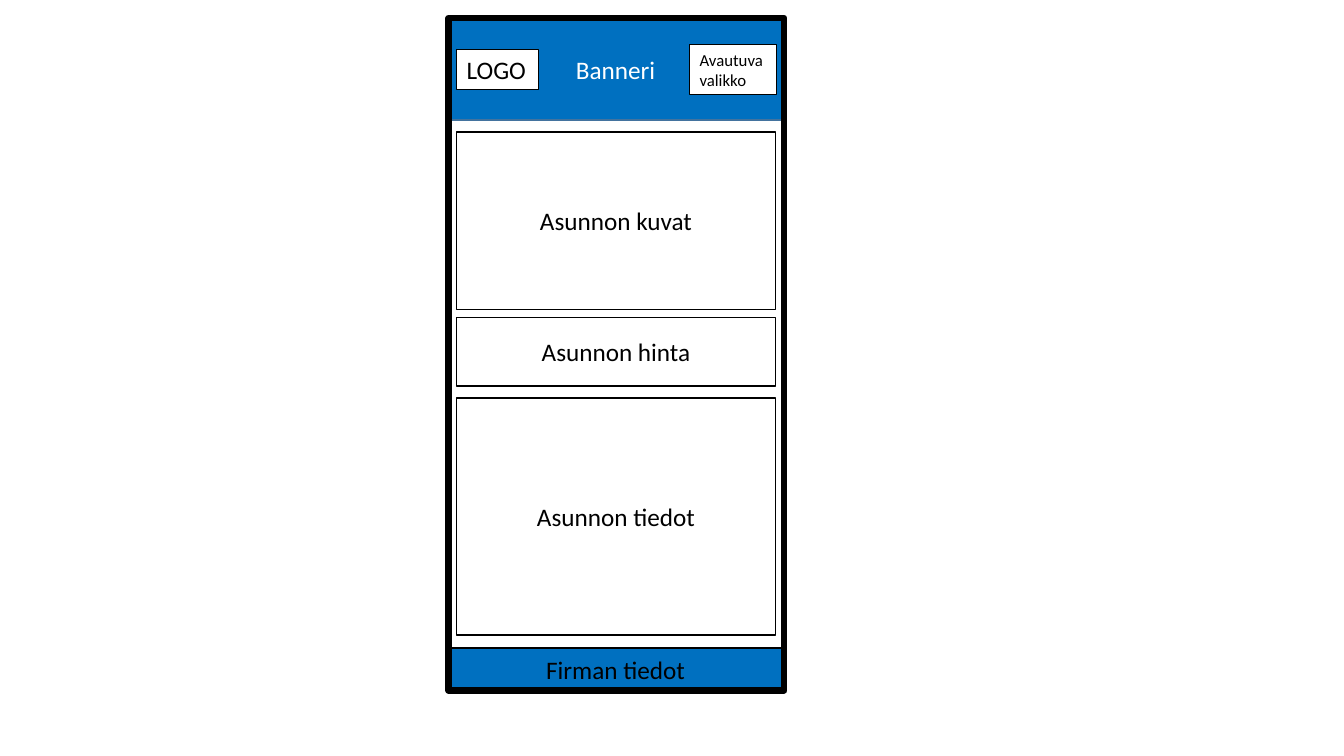
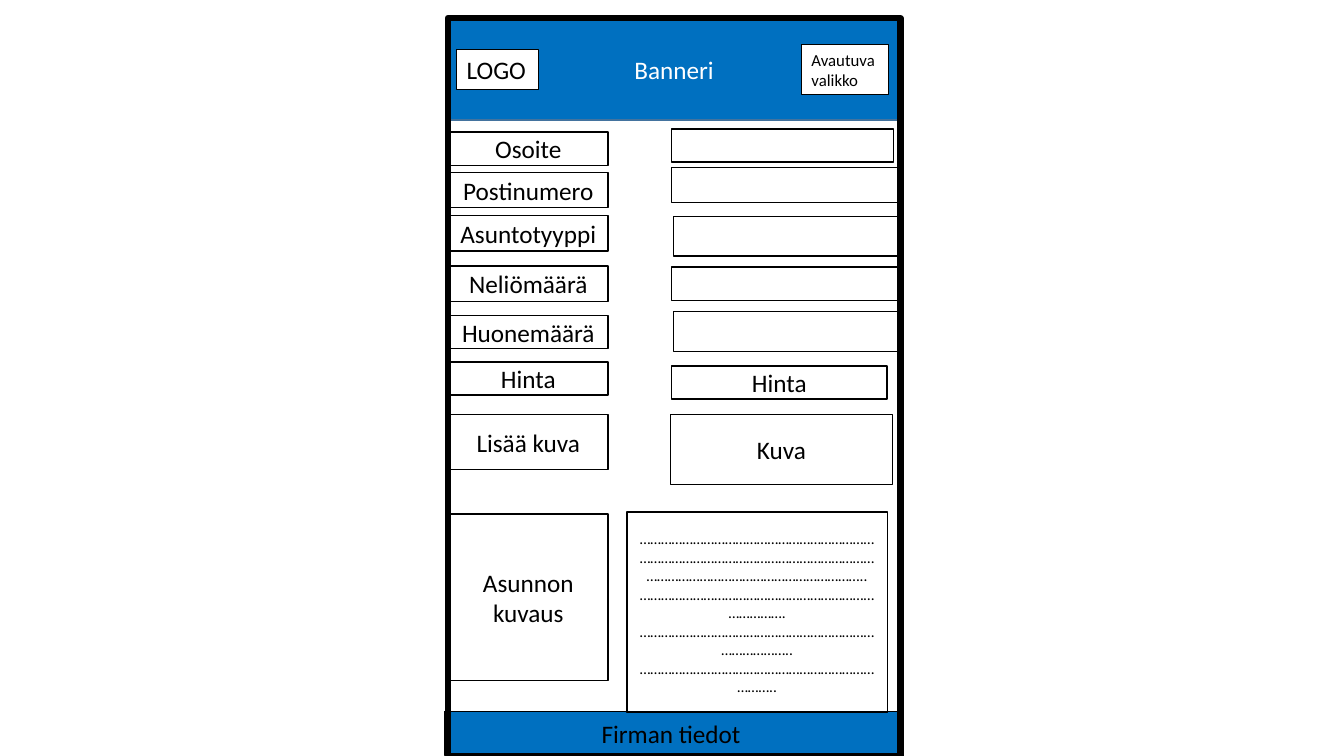
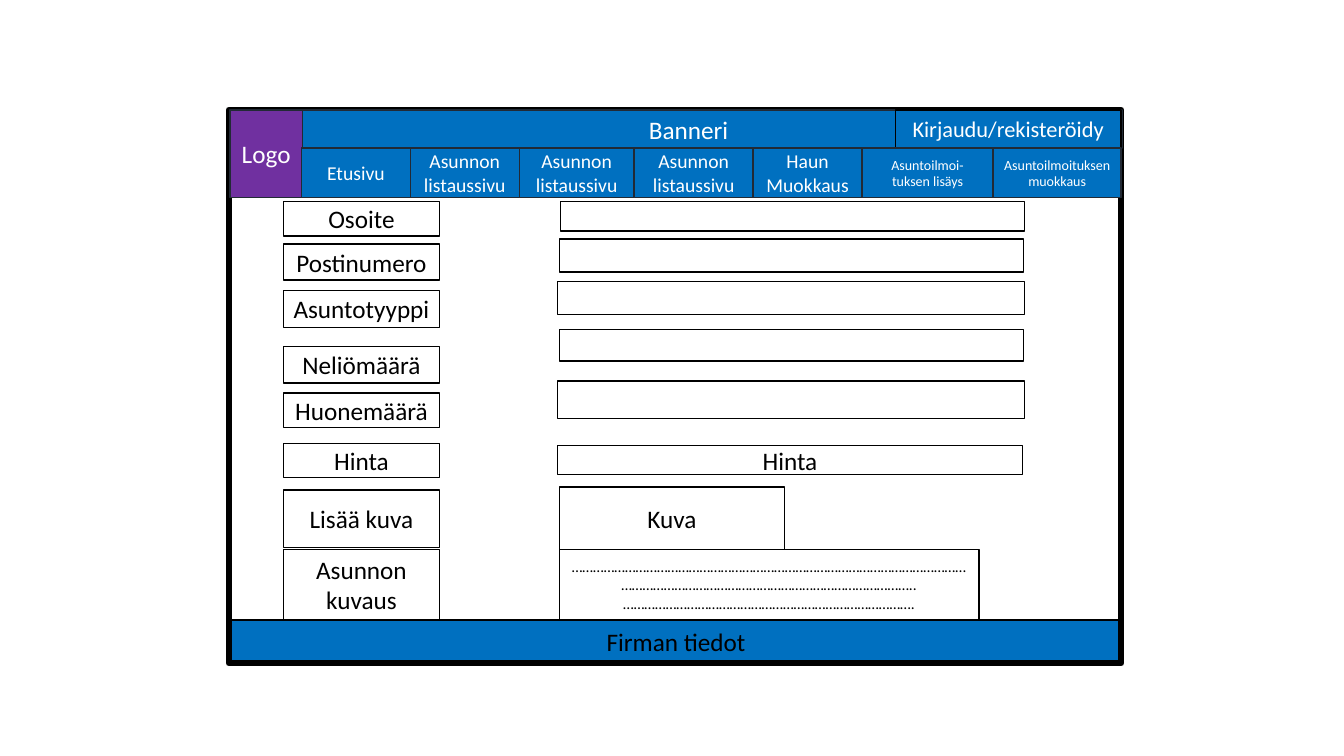
from pptx import Presentation
from pptx.dml.color import RGBColor
from pptx.enum.shapes import MSO_SHAPE as SHAPE
from pptx.enum.text import MSO_ANCHOR as ANCHOR, MSO_AUTO_SIZE as FIT, PP_ALIGN as ALIGN
from pptx.util import Inches, Pt

COLORS = {
    "blue": "0070C0",
    "steel": "43739E",
    "purple": "7030A0",
    "navy": "222A35",
    "black": "000000",
    "white": "FFFFFF",
}
FONT = "Calibri"


def add_box(page, left, top, width, height, text="", fill=None, line="black",
            ink="black", size=18, weight=1):
    box = page.shapes.add_shape(SHAPE.RECTANGLE, Inches(left), Inches(top),
                                Inches(width), Inches(height))
    box.shadow.inherit = False
    if fill:
        box.fill.solid()
        box.fill.fore_color.rgb = RGBColor.from_string(COLORS[fill])
    else:
        box.fill.background()
    box.line.color.rgb = RGBColor.from_string(COLORS[line])
    box.line.width = Pt(weight)
    frame = box.text_frame
    frame.word_wrap = True
    frame.vertical_anchor = ANCHOR.MIDDLE
    frame.text = text
    for paragraph in frame.paragraphs:
        paragraph.alignment = ALIGN.CENTER
        for span in paragraph.runs:
            span.font.name = FONT
            span.font.size = Pt(size)
            span.font.color.rgb = RGBColor.from_string(COLORS[ink])
    return box


def add_tag(page, left, top, width, height, text, size):
    tag = add_box(page, left, top, width, height, text, "white", size=size, weight=0.75)
    tag.text_frame.vertical_anchor = ANCHOR.TOP
    tag.text_frame.auto_size = FIT.SHAPE_TO_FIT_TEXT
    tag.text_frame.paragraphs[0].alignment = ALIGN.LEFT


deck = Presentation()
deck.slide_width = Inches(13.33)
deck.slide_height = Inches(7.5)
listing_page, phone_form, desktop_form = [
    deck.slides.add_slide(deck.slide_layouts[6]) for _ in range(3)
]

phones = [
    (listing_page, 4.45, 3.33, 6.67, 4.44, 6.43, 6.84),
    (phone_form, 4.44, 4.49, 7.32, 4.41, 7.06, 7.95),
]
for page, left, width, height, footer_left, footer_top, menu_left in phones:
    add_box(page, 4.44, 0.18, width, 1.01, "Banneri", "blue", "steel", "white")
    add_box(page, footer_left, footer_top, width, 0.43, "Firman tiedot", "blue")
    add_tag(page, menu_left, 0.44, 0.86, 0.5, "Avautuva valikko", 12)
    add_box(page, left, 0.18, width, height, weight=4.5)
    add_tag(page, 4.53, 0.49, 0.81, 0.4, "LOGO", 18)

for top, height, text in [
    (1.31, 1.76, "Asunnon kuvat"),
    (3.15, 0.68, "Asunnon hinta"),
    (3.95, 2.35, "Asunnon tiedot"),
]:
    add_box(listing_page, 4.53, top, 3.16, height, text)

add_box(desktop_form, 2.28, 6.15, 8.85, 0.43, "Firman tiedot", "blue")
window = add_box(desktop_form, 3.95, -0.59, 5.49, 8.85, weight=4.5)
window.rotation = 270

labels = ["Osoite", "Postinumero", "Asuntotyyppi", "Neliömäärä", "Huonemäärä",
          "Hinta", "Lisää kuva", "Asunnon kuvaus"]
values = ["", "", "", "", "", "Hinta", "Kuva"]
dotted_lines = ["…" * 64 + "..", "…" * 27 + ".", "…" * 28 + "..", "…" * 25 + ".."]

phone_rows = [
    (1.31, 0.33, 6.66, 1.28, 2.2, 0.33),
    (1.71, 0.35, 6.66, 1.66, 2.24, 0.35),
    (2.14, 0.35, 6.68, 2.15, 2.22, 0.39),
    (2.64, 0.35, 6.66, 2.65, 2.27, 0.33),
    (3.13, 0.33, 6.68, 3.09, 2.27, 0.4),
    (3.59, 0.33, 6.66, 3.63, 2.14, 0.33),
    (4.11, 0.55, 6.65, 4.11, 2.2, 0.7),
    (5.1, 1.65, 6.22, 5.08, 2.58, 1.99),
]
desktop_rows = [
    (2, 0.34, 5.56, 2, 4.6, 0.29),
    (2.42, 0.36, 5.55, 2.37, 4.6, 0.33),
    (2.88, 0.37, 5.53, 2.79, 4.63, 0.33),
    (3.44, 0.36, 5.55, 3.27, 4.6, 0.31),
    (3.9, 0.34, 5.53, 3.78, 4.63, 0.37),
    (4.4, 0.34, 5.53, 4.42, 4.61, 0.29),
    (4.86, 0.57, 5.55, 4.83, 2.23, 0.62),
    (5.45, 0.7, 5.55, 5.45, 4.16, 0.7),
]
for page, label_left, label_width, rows, line_count in [
    (phone_form, 4.45, 1.58, phone_rows, 4),
    (desktop_form, 2.81, 1.55, desktop_rows, 2),
]:
    description = "\n".join(dotted_lines[:line_count])
    for label, value, row in zip(labels, values + [description], rows):
        label_top, label_height, *field = row
        add_box(page, label_left, label_top, label_width, label_height, label)
        add_box(page, *field, value, size=11 if value == description else 18)

add_box(desktop_form, 2.53, 1.09, 8.6, 0.38, "Banneri", "blue", "navy", "white")
add_box(desktop_form, 2.28, 1.09, 0.72, 0.87, "Logo", "purple", "navy", "white")
add_box(desktop_form, 8.88, 1.09, 2.24, 0.38, "Kirjaudu/rekisteröidy", "blue",
        ink="white", size=16)

nav_left = 2.99
for width, text, size in [
    (1.08, "Etusivu", 14),
    (1.08, "Asunnon listaussivu", 14),
    (1.14, "Asunnon listaussivu", 14),
    (1.18, "Asunnon listaussivu", 14),
    (1.08, "Haun\nMuokkaus", 14),
    (1.3, "Asuntoilmoi-\ntuksen lisäys", 10),
    (1.27, "Asuntoilmoituksen muokkaus", 10),
]:
    add_box(desktop_form, nav_left, 1.47, width, 0.49, text, "blue", "navy", "white", size)
    nav_left += width

deck.save("out.pptx")
